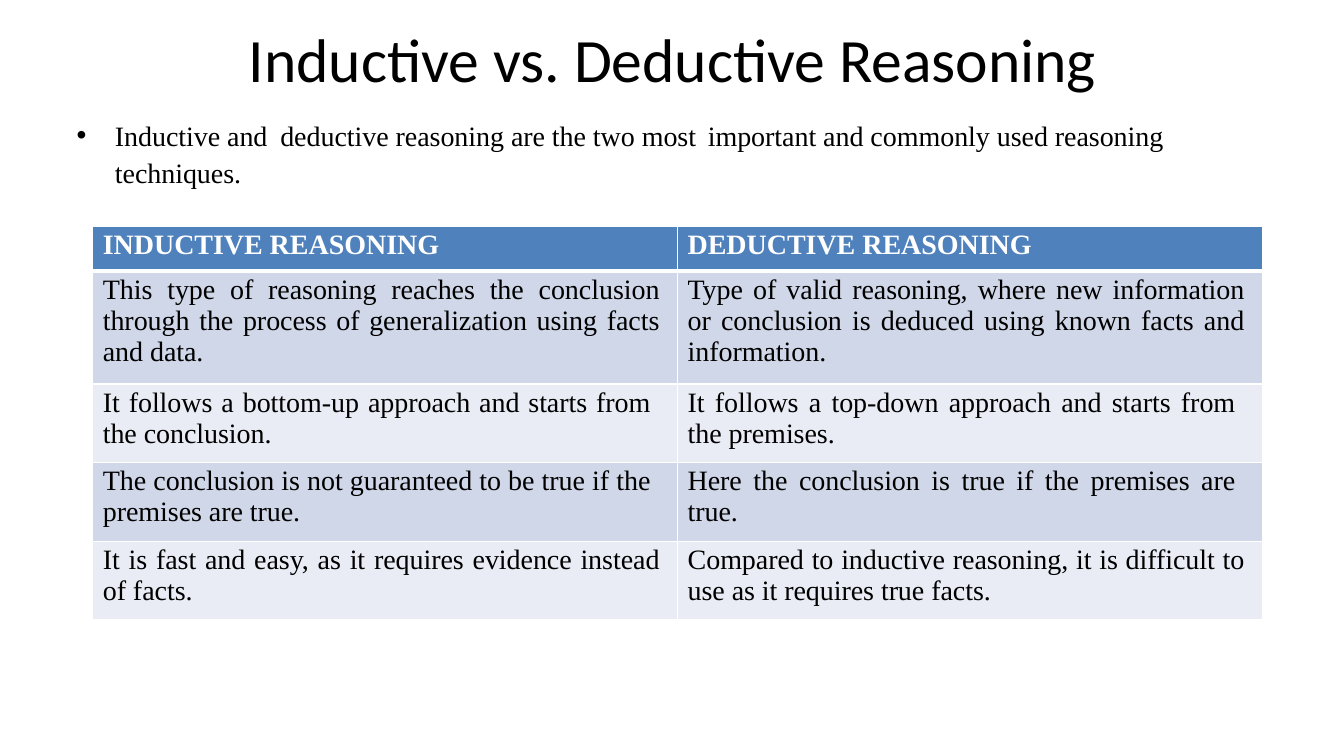
from dataclasses import dataclass

from lxml import etree
from pptx import Presentation
from pptx.dml.color import RGBColor
from pptx.enum.text import MSO_ANCHOR, MSO_AUTO_SIZE, PP_ALIGN
from pptx.oxml.ns import qn
from pptx.util import Inches, Pt

LEFT, CENTER, JUSTIFY = PP_ALIGN.LEFT, PP_ALIGN.CENTER, PP_ALIGN.JUSTIFY
TOP = MSO_ANCHOR.TOP
NO_AUTOFIT = MSO_AUTO_SIZE.NONE
TITLE_ONLY = 5


@dataclass(frozen=True)
class Theme:
    title_font: str = "Calibri"
    body_font: str = "Times New Roman"
    title_size: int = 44
    body_size: int = 20
    ink: str = "000000"
    paper: str = "FFFFFF"
    header_fill: str = "4F81BC"
    band_fills: tuple = ("D0D7E8", "E9ECF4")
    rule: int = 1
    header_rule: int = 3
    tracking: str = "-5"


THEME = Theme()

TITLE = "Inductive vs. Deductive Reasoning"
INTRO = ("Inductive and\tdeductive reasoning are the two most\timportant "
         "and commonly used reasoning techniques.")
INTRO_TABS = (0.39, 2.03, 6.27)
HEADINGS = ("INDUCTIVE REASONING", "DEDUCTIVE REASONING")
# Row height, right margin, inductive text, deductive text
COMPARISON = (
    (1.12, 0.18,
     "This type of reasoning reaches the conclusion through the process of "
     "generalization using facts and data.",
     "Type of valid reasoning, where new information or conclusion is deduced "
     "using known facts and information."),
    (0.78, 0.27,
     "It follows a bottom-up approach and starts from the conclusion.",
     "It follows a top-down approach and starts from the premises."),
    (0.78, 0.27,
     "The conclusion is not guaranteed to be true if the premises are true.",
     "Here the conclusion is true if the premises are true."),
    (0.78, 0.18,
     "It is fast and easy, as it requires evidence instead of facts.",
     "Compared to inductive reasoning, it is difficult to use as it requires "
     "true facts."),
)
HEADER_HEIGHT = 0.44
COLUMN_WIDTH = 5.8


def apply(target, values):
    for name, value in values.items():
        setattr(target, name, value)


def write(frame, text, font, size, color, bold=False, **paragraph_format):
    """Put one formatted paragraph in a text frame and return it."""
    paragraph = frame.paragraphs[0]
    apply(paragraph, paragraph_format)
    run = paragraph.add_run()
    run.text = text
    apply(run.font, {"name": font, "size": Pt(size), "bold": bold})
    run.font.color.rgb = RGBColor.from_string(color)
    run.font._element.set("spc", THEME.tracking)
    return paragraph


def prepare_frame(frame):
    apply(frame, {"word_wrap": True, "auto_size": NO_AUTOFIT,
                  "vertical_anchor": TOP, "margin_left": 0, "margin_right": 0,
                  "margin_top": Inches(0.01), "margin_bottom": 0})


def add_title(slide):
    title = slide.shapes.title
    apply(title, {"left": Inches(1.07), "top": Inches(0.2),
                  "width": Inches(11.2), "height": Inches(0.76)})
    prepare_frame(title.text_frame)
    write(title.text_frame, TITLE, THEME.title_font, THEME.title_size,
          THEME.ink, alignment=CENTER, space_before=Pt(1.1))


def add_bullet(paragraph, tabs):
    """Give a paragraph a hanging bullet and left tab stops."""
    properties = paragraph._p.get_or_add_pPr()
    properties.set("marL", str(Inches(0.39)))
    properties.set("indent", str(Inches(-0.38)))
    etree.SubElement(properties, qn("a:buFont"), typeface="Arial")
    etree.SubElement(properties, qn("a:buChar"), char="•")
    tab_list = etree.SubElement(properties, qn("a:tabLst"))
    for position in tabs:
        etree.SubElement(tab_list, qn("a:tab"), pos=str(Inches(position)),
                         algn="l")


def add_intro(slide):
    intro = slide.shapes.add_textbox(Inches(0.75), Inches(1.13),
                                     Inches(11.82), Inches(0.69))
    prepare_frame(intro.text_frame)
    paragraph = write(intro.text_frame, INTRO, THEME.body_font,
                      THEME.body_size, THEME.ink, alignment=LEFT,
                      line_spacing=1.1, space_before=Pt(0.9))
    add_bullet(paragraph, INTRO_TABS)


def set_borders(cell, **widths):
    """Draw the cell's edges; call before the fill, which must follow them."""
    properties = cell._tc.get_or_add_tcPr()
    for edge in ("lnL", "lnR", "lnT", "lnB"):
        width = widths.get(edge, THEME.rule)
        line = etree.SubElement(properties, qn(f"a:{edge}"), w=str(Pt(width)))
        fill = etree.SubElement(line, qn("a:solidFill"))
        etree.SubElement(fill, qn("a:srgbClr"), val=THEME.paper)


def fill_cell(cell, text, fill, color, right=0, bold=False, alignment=LEFT,
              **borders):
    set_borders(cell, **borders)
    cell.fill.solid()
    cell.fill.fore_color.rgb = RGBColor.from_string(fill)
    apply(cell, {"margin_left": Inches(0.1), "margin_right": Inches(right),
                 "margin_top": Inches(0.03), "margin_bottom": 0,
                 "vertical_anchor": TOP})
    write(cell.text_frame, text, THEME.body_font, THEME.body_size, color,
          bold, alignment=alignment, space_before=Pt(2.4))


def add_comparison(slide):
    heights = [HEADER_HEIGHT] + [row[0] for row in COMPARISON]
    table = slide.shapes.add_table(
        len(heights), len(HEADINGS), Inches(0.92), Inches(2.25),
        Inches(COLUMN_WIDTH * len(HEADINGS)), Inches(sum(heights))).table
    apply(table, {"first_row": False, "horz_banding": False})
    for row, height in zip(table.rows, heights):
        row.height = Inches(height)

    for column, heading in enumerate(HEADINGS):
        fill_cell(table.cell(0, column), heading, THEME.header_fill,
                  THEME.paper, bold=True, lnB=THEME.header_rule)
    for index, (_, right, *texts) in enumerate(COMPARISON):
        band = THEME.band_fills[index % len(THEME.band_fills)]
        top_rule = THEME.rule if index else THEME.header_rule
        for column, text in enumerate(texts):
            fill_cell(table.cell(index + 1, column), text, band, THEME.ink,
                      right=right, alignment=JUSTIFY, lnT=top_rule)


def main():
    deck = Presentation()
    apply(deck, {"slide_width": Inches(13.33), "slide_height": Inches(7.5)})
    slide = deck.slides.add_slide(deck.slide_layouts[TITLE_ONLY])
    add_title(slide)
    add_intro(slide)
    add_comparison(slide)
    deck.save("out.pptx")


if __name__ == "__main__":
    main()
